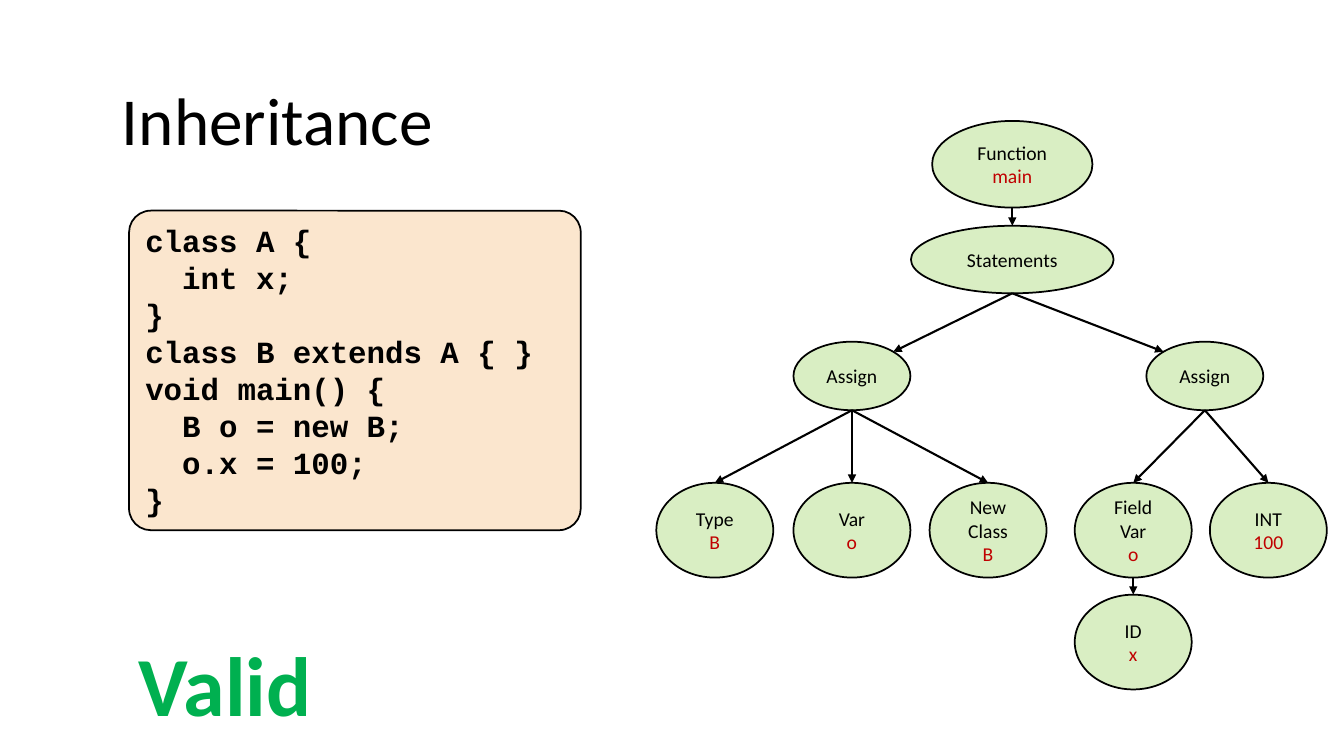
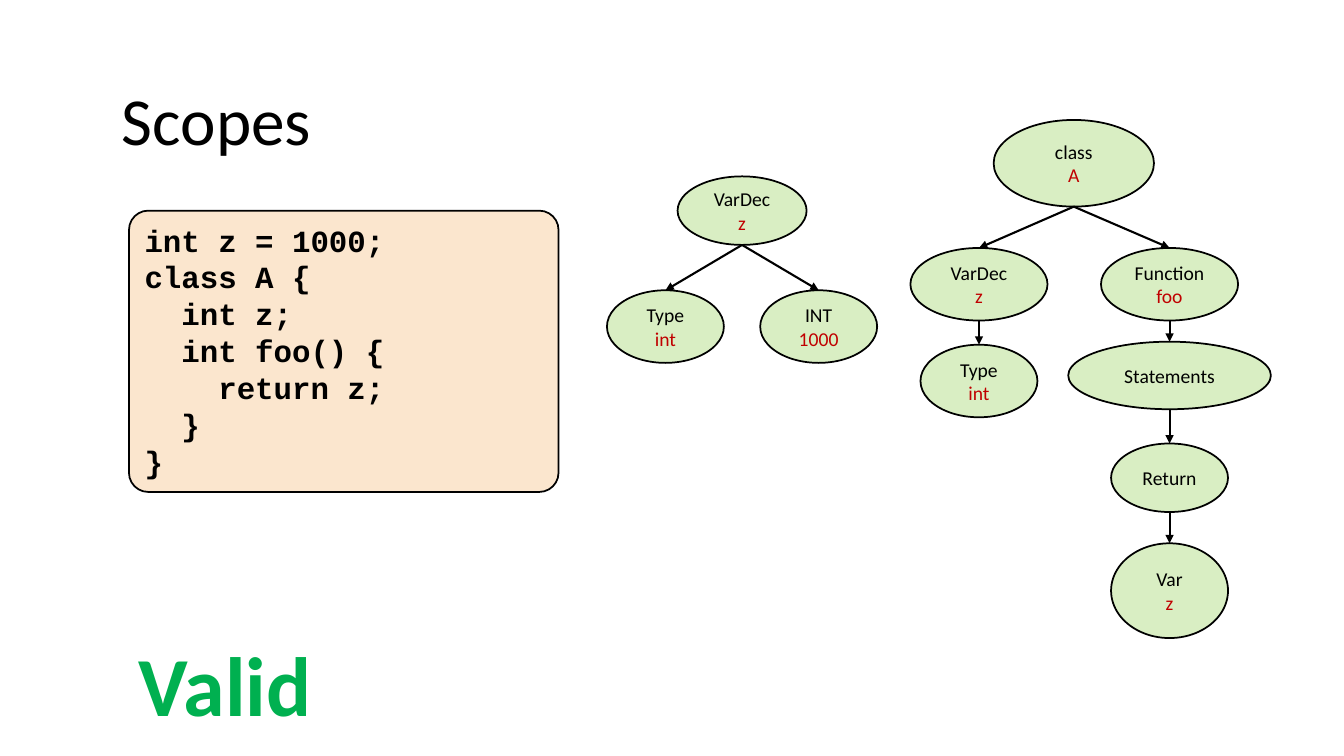
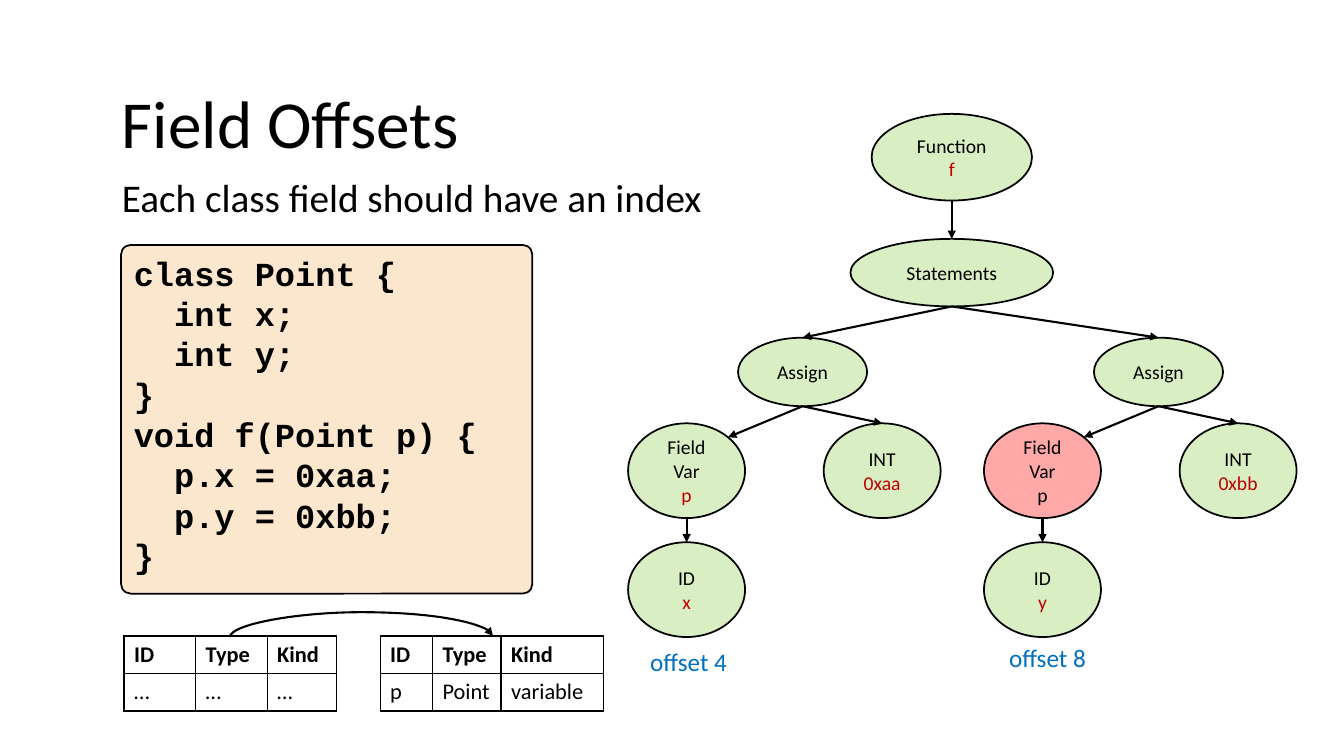
"""Build three compiler slides with code, syntax trees and symbol tables."""
from lxml import etree
from pptx import Presentation
from pptx import util as u
from pptx.dml.color import RGBColor
from pptx.enum import shapes, text
from pptx.oxml import ns

PX = 9144
WIDE, HIGH = 1333, 750
BLACK, WHITE, RED, LEAF, HOT = "000000", "FFFFFF", "C00000", "92D050", "FF0000"
SAND, GREEN, BLUE = "FBE6CE", "00B050", "0070C0"
SANS, MONO = "Calibri", "Courier New"

SIZES = {
    "root": (159, 86), "wide": (201, 67), "op": (116, 68), "dec": (128, 68),
    "mid": (136, 72), "type": (116, 72), "leaf": (116, 94), "hot": (116, 94),
}
VALID = ("Valid", (128, 623, 306, 111), dict(size=60, color=GREEN, bold=True))

MAIN = ("root", 1004, 120, "Function|main", "top", [
    ("wide", 1004, 224, "Statements", "top", [
        ("op", 845, 339, "Assign", "right", [
            ("leaf", 709, 479, "Type|B", "top", []),
            ("leaf", 845, 479, "Var|o", "top", []),
            ("leaf", 980, 479, "New|Class|B", "top", [])]),
        ("op", 1195, 339, "Assign", "left", [
            ("leaf", 1124, 479, "Field|Var|o", "top", [
                ("leaf", 1124, 590, "ID|x", "top", [])]),
            ("leaf", 1258, 479, "INT|100", "top", [])])])])

GLOBAL = ("dec", 736, 175, "VarDec|z", "top", [
    ("type", 660, 288, "Type|int", "top", []),
    ("type", 812, 288, "INT|1000", "top", [])])

CLASS = ("root", 1065, 119, "class|A", "top", [
    ("mid", 971, 246, "VarDec|z", "top", [
        ("type", 971, 342, "Type|int", "top", [])]),
    ("mid", 1160, 246, "Function|foo", "top", [
        ("wide", 1160, 339, "Statements", "top", [
            ("op", 1160, 440, "Return", "top", [
                ("leaf", 1160, 539, "Var|z", "top", [])])])])])


def field(mid, kind, name, value):
    return ("dec", mid, 335, "Assign", "top", [
        (kind, mid - 115, 420, "Field|Var|p", "right", [
            ("leaf", mid - 115, 538, "ID|" + name, "top", [])]),
        ("leaf", mid + 79, 420, "INT|" + value, "top", [])])


POINT = ("root", 944, 113, "Function|f", "top", [
    ("wide", 944, 237, "Statements", "top", [
        field(796, "leaf", "x", "0xaa"), field(1149, "hot", "y", "0xbb")])])

SLIDES = [
    dict(title="Inheritance", top=73, trees=[MAIN],
         code=dict(at=(128, 209, 448, 317), curve=0.068, size=22, lines=[
             "class A {", "  int x;", "}", "class B extends A { }",
             "void main() {", "  B o = new B;", "  o.x = 100;", "}"]),
         notes=[VALID]),
    dict(title="Scopes", top=73, trees=[GLOBAL, CLASS],
         code=dict(at=(128, 209, 426, 279), curve=0.068, size=22, lines=[
             "int z = 1000;", "class A {", "  int z;", "  int foo() {",
             "    return z;", "  }", "}"]),
         notes=[VALID]),
    dict(title="Field Offsets", top=76, trees=[POINT],
         code=dict(at=(120, 243, 408, 346), curve=0.028, size=24, lines=[
             "class Point {", "  int x;", "  int y;", "}", "void f(Point p) {",
             "  p.x = 0xaa;", "  p.y = 0xbb;", "}"]),
         notes=[("Each class field should have an index", (111, 167, 1109, 57), dict(size=28)),
                ("offset 4", (635, 636, 104, 40), dict(size=18, color=BLUE)),
                ("offset 8", (991, 632, 104, 40), dict(size=18, color=BLUE))],
         tables=[((123, 631), (71, 71, 69), [["ID", "Type", "Kind"], ["…", "…", "…"]]),
                 ((377, 631), (52, 68, 102), [["ID", "Type", "Kind"], ["p", "Point", "variable"]])],
         bend=((228, 632), (489, 631), 25)),
]


def px(*nums):
    return [u.Emu(round(n * PX)) for n in nums]


def rgb(code):
    return RGBColor.from_string(code)


def sub(node, tag, **attrs):
    return etree.SubElement(node, ns.qn(tag), **attrs)


def write(frame, lines, size=14, color=BLACK, last=None, bold=False, font=SANS,
          align="LEFT", anchor="TOP"):
    frame.word_wrap = True
    frame.auto_size = text.MSO_AUTO_SIZE.NONE
    frame.vertical_anchor = text.MSO_ANCHOR[anchor]
    for i, line in enumerate(lines):
        para = frame.add_paragraph() if i else frame.paragraphs[0]
        para.alignment = text.PP_ALIGN[align]
        run = para.add_run()
        run.text = line
        run.font.name, run.font.size, run.font.bold = font, u.Pt(size), bold
        final = last and 0 < i == len(lines) - 1
        run.font.color.rgb = rgb(last if final else color)


def block(slide, kind, at, fill):
    shape = slide.shapes.add_shape(kind, *px(*at))
    shape.shadow.inherit = False
    shape.fill.solid()
    shape.fill.fore_color.rgb = rgb(fill)
    shape.line.color.rgb = rgb(BLACK)
    shape.line.width = u.Pt(1.25)
    return shape


def arrow(slide, start, end, kind="STRAIGHT"):
    link = slide.shapes.add_connector(shapes.MSO_CONNECTOR[kind], *px(*start, *end))
    link.line.color.rgb = rgb(BLACK)
    link.line.width = u.Pt(1.5)
    props = link._element.spPr
    sub(props.find(ns.qn("a:ln")), "a:tailEnd", type="triangle")
    sub(props, "a:effectLst")
    return props


def bend(slide, start, end, rise):
    (x1, y1), (x2, y2) = start, end
    mid, row = (x1 + x2) / 2, (y1 + y2) / 2
    dx, dy = (y1 - y2) / 2, (x2 - x1) / 2
    props = arrow(slide, (mid + dx, row + dy), (mid - dx, row - dy), "CURVE")
    props.find(ns.qn("a:xfrm")).set("rot", str(90 * 60000))
    geom = props.find(ns.qn("a:prstGeom"))
    guides = geom.find(ns.qn("a:avLst"))
    if guides is None:
        guides = sub(geom, "a:avLst")
    sub(guides, "a:gd", name="adj1", fmla=f"val {round(rise / (y1 - y2) * 100000)}")


def tree(slide, node, source=None):
    kind, mid, top, label, side, kids = node
    wide, high = SIZES[kind]
    hot = kind == "hot"
    oval = block(slide, shapes.MSO_SHAPE.OVAL, (mid - wide / 2, top, wide, high),
                 HOT if hot else LEAF)
    tint = oval._element.spPr.find(ns.qn("a:solidFill"))[0]
    sub(tint, "a:alpha", val="34000")
    write(oval.text_frame, label.split("|"), last=None if hot else RED,
          align="CENTER", anchor="MIDDLE")
    if source:
        turn = {"left": -1, "top": 0, "right": 1}[side]
        drop = high / 2 * (1 - 0.5 ** 0.5) if turn else 0
        arrow(slide, source, (mid + turn * wide / 2 * 0.5 ** 0.5, top + drop))
    for kid in kids:
        tree(slide, kid, (mid, top + high))


def grid(slide, at, cols, rows):
    table = slide.shapes.add_table(len(rows), len(cols),
                                   *px(*at, sum(cols), 36 * len(rows))).table
    for col, wide in zip(table.columns, cols):
        col.width = px(wide)[0]
    for r, row in enumerate(rows):
        table.rows[r].height = px(36)[0]
        for c, word in enumerate(row):
            cell = table.cell(r, c)
            write(cell.text_frame, [word], size=16, bold=r == 0)
            props = cell._tc.get_or_add_tcPr()
            for edge in "LRTB":
                line = sub(props, "a:ln" + edge, w="12700")
                sub(sub(line, "a:solidFill"), "a:srgbClr", val=BLACK)
            cell.fill.solid()
            cell.fill.fore_color.rgb = rgb(WHITE)


def build(deck, data):
    slide = deck.slides.add_slide(deck.slide_layouts[5])
    title = slide.shapes.title
    title.left, title.top, title.width, title.height = px(111, data["top"], 1109, 91)
    write(title.text_frame, [data["title"]], size=48)
    for root in data["trees"]:
        tree(slide, root)
    code = data["code"]
    box = block(slide, shapes.MSO_SHAPE.ROUNDED_RECTANGLE, code["at"], SAND)
    box.adjustments[0] = code["curve"]
    write(box.text_frame, code["lines"], size=code["size"], bold=True, font=MONO)
    for words, at, style in data["notes"]:
        write(slide.shapes.add_textbox(*px(*at)).text_frame, [words], **style)
    for table in data.get("tables", []):
        grid(slide, *table)
    if "bend" in data:
        bend(slide, *data["bend"])


def main():
    deck = Presentation()
    deck.slide_width, deck.slide_height = px(WIDE, HIGH)
    for data in SLIDES:
        build(deck, data)
    deck.save("out.pptx")


if __name__ == "__main__":
    main()
